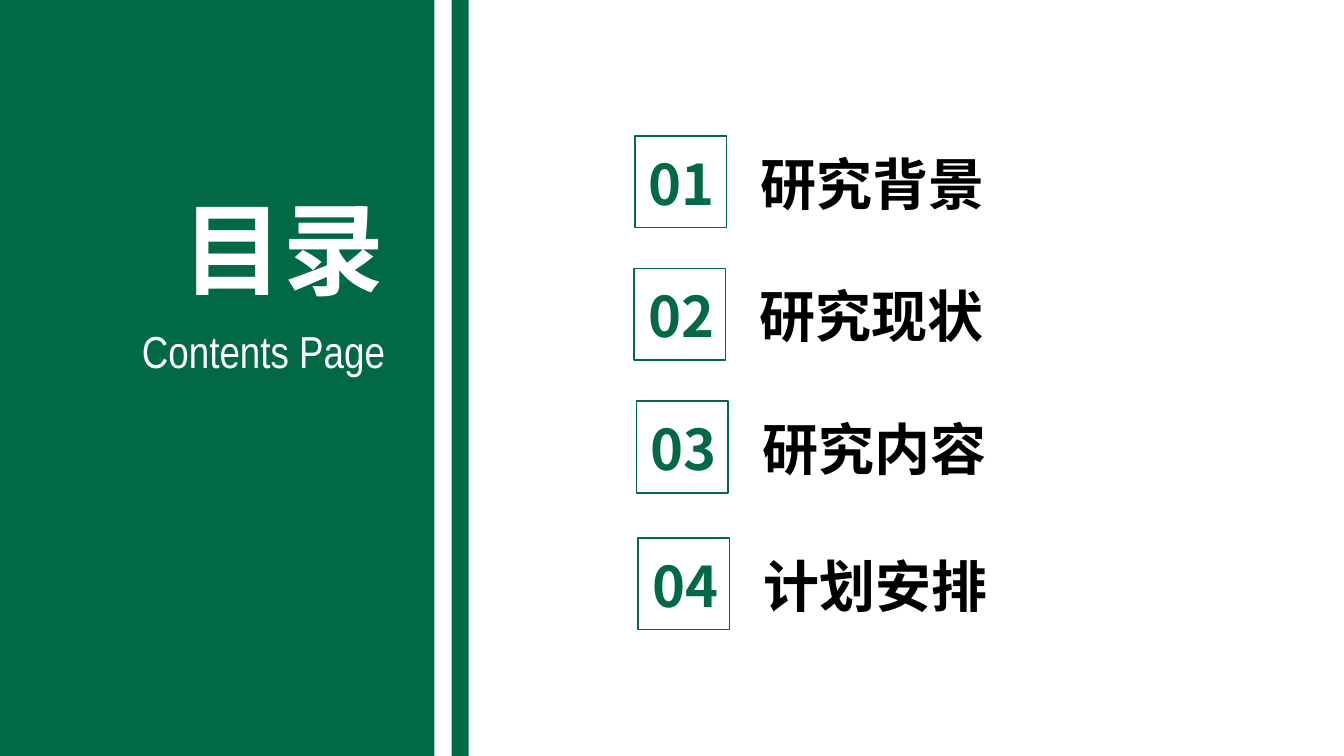
from pptx import Presentation
from pptx.dml.color import RGBColor
from pptx.enum.shapes import MSO_SHAPE
from pptx.enum.text import MSO_ANCHOR, MSO_AUTO_SIZE, PP_ALIGN
from pptx.oxml.ns import qn
from pptx.util import Cm, Pt
from lxml import etree

RECTANGLE = MSO_SHAPE.RECTANGLE
MIDDLE = MSO_ANCHOR.MIDDLE
GROW = MSO_AUTO_SIZE.SHAPE_TO_FIT_TEXT
LEFT, CENTER, RIGHT = PP_ALIGN.LEFT, PP_ALIGN.CENTER, PP_ALIGN.RIGHT

GREEN, WHITE, BLACK = "016946", "FFFFFF", "000000"
CHINESE_FONT, LATIN_FONT = "Noto Sans CJK SC", "Arial Narrow"


def add_rectangle(shapes, left, top, width, height, fill=None, line=None):
    rectangle = shapes.add_shape(RECTANGLE, Cm(left), Cm(top), Cm(width), Cm(height))
    rectangle.shadow.inherit = False
    for part, color in ((rectangle.fill, fill), (rectangle.line.fill, line)):
        if color:
            part.solid()
            part.fore_color.rgb = RGBColor.from_string(color)
        else:
            part.background()
    if line:
        rectangle.line.width = Pt(1)


def add_label(shapes, text, left, top, width, height, align, color, **font_format):
    frame = shapes.add_textbox(Cm(left), Cm(top), Cm(width), Cm(height)).text_frame
    frame.word_wrap = True
    frame.auto_size = GROW
    frame.vertical_anchor = MIDDLE
    paragraph = frame.paragraphs[0]
    paragraph.alignment = align
    run = paragraph.add_run()
    run.text = text
    run.font.color.rgb = RGBColor.from_string(color)
    for name, value in font_format.items():
        setattr(run.font, name, value)
    # Chinese characters take their typeface from a:ea
    east_asian = etree.SubElement(run.font._element, qn("a:ea"))
    east_asian.set("typeface", font_format["name"])


presentation = Presentation()
presentation.slide_width, presentation.slide_height = Cm(33.87), Cm(19.05)
slide = presentation.slides.add_slide(presentation.slide_layouts[6])

# Green side panel with a white and a green stripe
panel_width, stripe_width, slide_height = 10.95, 0.43, 19.05
add_rectangle(slide.shapes, 0, 0, panel_width, slide_height, GREEN, GREEN)
for index, stripe_color in enumerate((WHITE, GREEN)):
    add_rectangle(slide.shapes, panel_width + index * stripe_width, 0,
                  stripe_width, slide_height, stripe_color)

add_label(slide.shapes, "目录", 3.61, 4.57, 6.32, 3.33, RIGHT, WHITE,
          name=CHINESE_FONT, size=Pt(72), bold=True)
add_label(slide.shapes, "Contents Page", 2.24, 8.03, 7.72, 1.63, RIGHT, WHITE,
          name=LATIN_FONT, size=Pt(32))

# Numbered chapters: title, left and top of the number box
chapters = [
    ("研究背景", 16.0, 3.43),
    ("研究现状", 15.98, 6.76),
    ("研究内容", 16.04, 10.11),
    ("计划安排", 16.08, 13.56),
]
box_size, label_height = 2.31, 1.96
chapter_format = {"name": CHINESE_FONT, "size": Pt(40), "bold": True}
for number, (title, left, top) in enumerate(chapters, start=1):
    chapter = slide.shapes.add_group_shape().shapes
    label_top = top + 0.2
    add_label(chapter, title, left + 2.92, label_top, 6.86, label_height,
              LEFT, BLACK, **chapter_format)
    add_label(chapter, f"{number:02}", left + 0.03, label_top, box_size, label_height,
              CENTER, GREEN, **chapter_format)
    add_rectangle(chapter, left, top, box_size, box_size, line=GREEN)

presentation.save("out.pptx")
